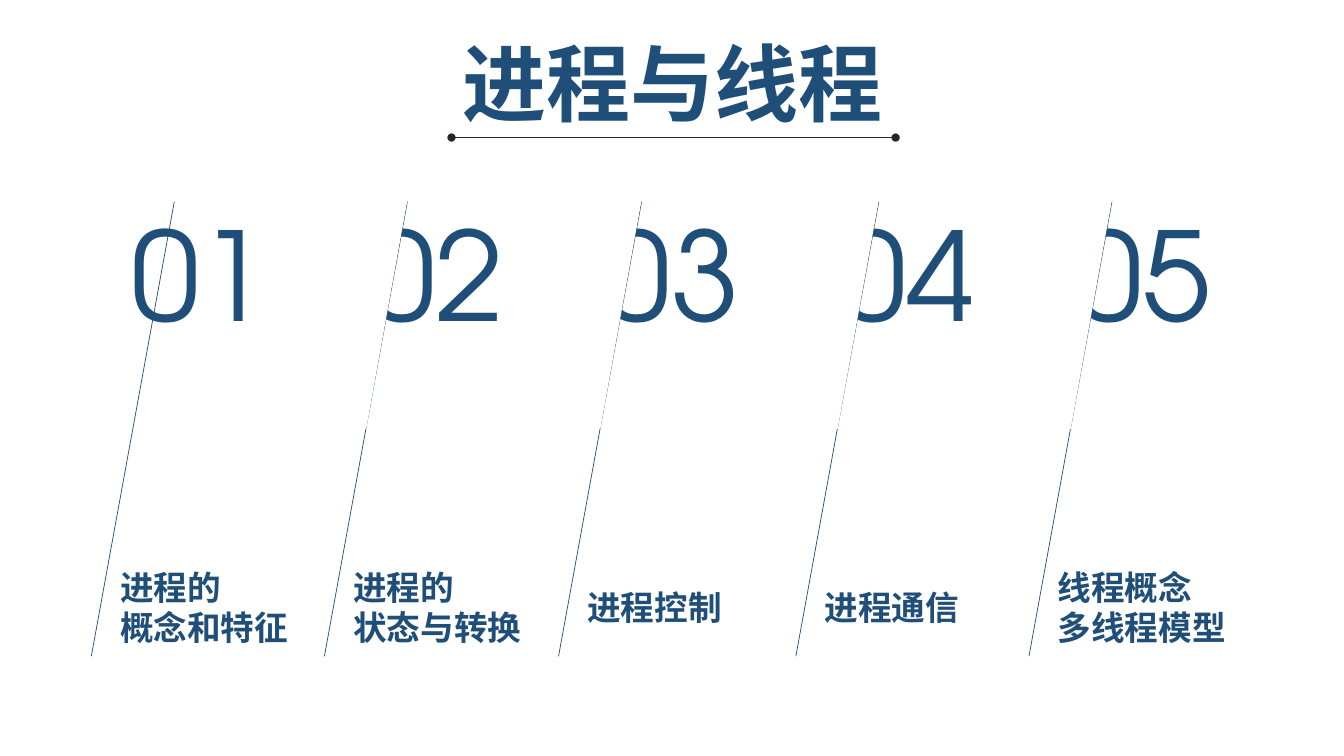
from lxml import etree
from pptx import Presentation
from pptx.dml.color import RGBColor
from pptx.enum.shapes import MSO_CONNECTOR, MSO_SHAPE
from pptx.enum.text import MSO_ANCHOR, MSO_AUTO_SIZE, PP_ALIGN
from pptx.oxml.ns import qn
from pptx.util import Pt

PX = 9525
FONT = "TeX Gyre Adventor"
NAVY, INK, WHITE = "1F4E79", "262626", "FFFFFF"
STRAIGHT, RECT = MSO_CONNECTOR.STRAIGHT, MSO_SHAPE.RECTANGLE
LEFT, CENTER = PP_ALIGN.LEFT, PP_ALIGN.CENTER
MIDDLE, GROW = MSO_ANCHOR.MIDDLE, MSO_AUTO_SIZE.SHAPE_TO_FIT_TEXT

TOPICS = [
    (166, ["进程的", "概念和特征"]),
    (388, ["进程的", "状态与转换"]),
    (611, ["进程控制"]),
    (837, ["进程通信"]),
    (1059, ["线程概念", "多线程模型"]),
]
FIRST, PITCH = 116, 224.4


def px(*lengths):
    """Turn px lengths into EMU."""
    return [round(length * PX) for length in lengths]


def color(code):
    """Turn a hex string into a colour."""
    return RGBColor.from_string(code)


def add_text(slide, box, lines, size, bold=False, align=LEFT, wrap=False):
    """Place lines of navy text in a box."""
    frame = slide.shapes.add_textbox(*px(*box)).text_frame
    frame.word_wrap = wrap
    frame.auto_size = GROW
    frame.vertical_anchor = MIDDLE
    frame.text = "\n".join(lines)
    for para in frame.paragraphs:
        para.alignment = align
        font = para.font
        font.name, font.size, font.bold = FONT, Pt(size), bold
        font.color.rgb = color(NAVY)


def add_line(slide, ends, code, dots=False):
    """Draw a thin line, with round ends if asked."""
    line = slide.shapes.add_connector(STRAIGHT, *px(*ends))
    line.line.color.rgb = color(code)
    line.line.width = Pt(0.5)
    if dots:
        for end in ("a:headEnd", "a:tailEnd"):
            etree.SubElement(line.line._get_or_add_ln(), qn(end), type="oval")
    etree.SubElement(line._element.spPr, qn("a:effectLst"))


def add_mask(slide, box):
    """Hide the left part of a number behind a tilted white block."""
    mask = slide.shapes.add_shape(RECT, *px(*box))
    mask.rotation = 10.2
    mask.shadow.inherit = False
    mask.fill.solid()
    mask.fill.fore_color.rgb = color(WHITE)
    mask.line.fill.background()


def add_title(slide, box, text):
    """Place the title with its rule below."""
    x, y, w, h = box
    add_text(slide, box, [text], 60, True, CENTER, True)
    add_line(slide, (x + 430, y + h, x + 853, y + h), INK, True)


def add_topic(slide, index, box, lines):
    """Place one topic: number, slanted line and label."""
    x, y, w, h = box
    left = FIRST + PITCH * index
    add_text(slide, (left, y - 9, 151, 152), [f"{index + 1:02}"], 88)
    add_line(slide, (x + w, y, x, y + h), NAVY)
    if index:
        add_mask(slide, (x - 11, y - 66, 76, 278))
    wide = 32 * max(map(len, lines)) + 20
    high = 39 * len(lines) + 9
    add_text(slide, (x + 18, y + 386 - high / 2, wide, high), lines, 24, True)


def main():
    """Build the slide and save it."""
    deck = Presentation()
    deck.slide_width, deck.slide_height = px(1280, 720)
    slide = deck.slides.add_slide(deck.slide_layouts[6])
    for index, (top, lines) in enumerate(TOPICS):
        add_topic(slide, index, (top - 79, 192, 79, 433), lines)
    add_title(slide, (0, 24, 1280, 107), "进程与线程")
    deck.save("out.pptx")


if __name__ == "__main__":
    main()
